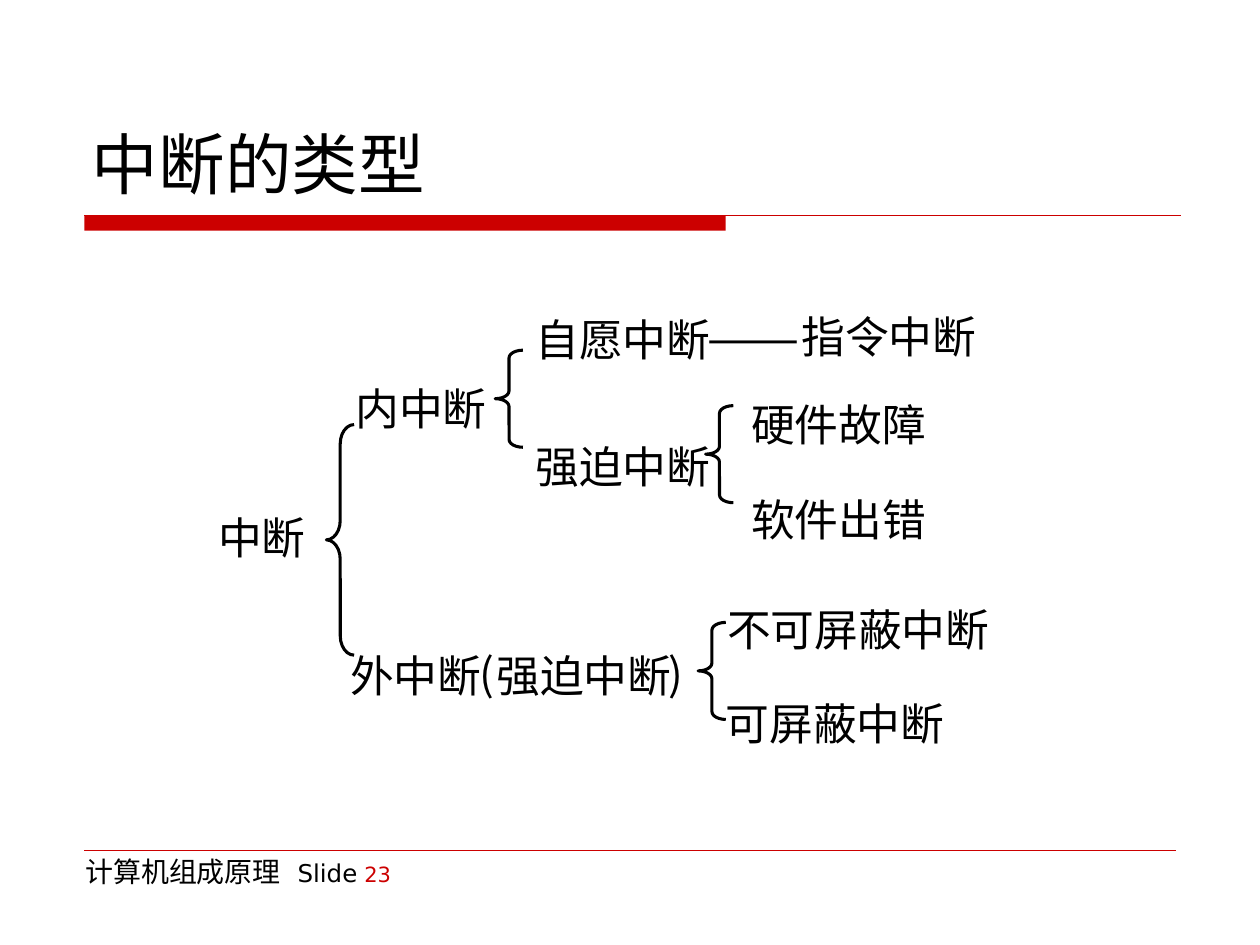
from lxml.etree import SubElement
from pptx import Presentation
from pptx.dml.color import RGBColor
from pptx.enum.shapes import MSO_CONNECTOR, MSO_SHAPE
from pptx.enum.text import MSO_ANCHOR, MSO_AUTO_SIZE, PP_ALIGN
from pptx.oxml.ns import qn
from pptx.util import Inches, Pt

COLORS = {"text": RGBColor.from_string("000000"), "accent": RGBColor.from_string("CC0000")}
LATIN, CJK, DASH = "DejaVu Sans", "Noto Sans CJK JP", "Arial"
LABEL_SIZE = 25

presentation = Presentation()
presentation.slide_width, presentation.slide_height = Inches(10), Inches(7.5)
COLUMN = presentation.slide_width / 100
ROW = presentation.slide_height / 75
slide = presentation.slides.add_slide(presentation.slide_layouts[5])
shapes = slide.shapes


def grid(left, top, width, height):
    """Turn columns and rows into the four lengths of a box."""
    return [round(n * unit) for n, unit in zip((left, top, width, height), (COLUMN, ROW) * 2)]


def set_font(font, name, size, color="text"):
    """Set size, colour and the font for both Latin and Chinese characters."""
    font.name, font.size = name, Pt(size)
    font.color.rgb = COLORS[color]
    SubElement(font._element, qn("a:ea")).set("typeface", name)


# Rules under the title and above the footer
bar = shapes.add_shape(MSO_SHAPE.RECTANGLE, *grid(6.7, 17.1, 50.9, 1.2))
bar.shadow.inherit = False
bar.fill.solid()
bar.fill.fore_color.rgb = COLORS["accent"]
bar.line.fill.background()

for right, row, weight in [(93.7, 17.1, 0.75), (93.3, 67.5, 0.25)]:
    rule = shapes.add_connector(MSO_CONNECTOR.STRAIGHT, *grid(6.7, row, right, row))
    rule.line.color.rgb = COLORS["accent"]
    rule.line.width = Pt(weight)
    SubElement(rule._element.spPr, qn("a:effectLst"))

# Title
title = shapes.title
title.left, title.top, title.width, title.height = grid(6.3, 3.3, 87.5, 13.3)
title.text_frame.text = "中断的类型"
title.text_frame.auto_size = MSO_AUTO_SIZE.NONE
title.text_frame.vertical_anchor = MSO_ANCHOR.BOTTOM
paragraph = title.text_frame.paragraphs[0]
paragraph.alignment = PP_ALIGN.LEFT
set_font(paragraph.font, LATIN, 38)

# Footer
footer = shapes.add_textbox(*grid(5.8, 67.3, 30, 5.2))
footer.text_frame.word_wrap = True
paragraph = footer.text_frame.paragraphs[0]
for text, size, color in [("计算机组成原理 ", 16, "text"), (" Slide", 14, "text"),
                          (" ", 12, "text"), ("23", 12, "accent")]:
    run = paragraph.add_run()
    run.text = text
    set_font(run.font, LATIN, size, color)

# Tree labels: text, left column, top row
labels = [
    ("中断", 17.3, 40.5),
    ("内中断", 28.2, 30.3),
    ("外中断", 27.8, 51.5),
    ("(", 38.1, 51.3),
    ("强迫中断", 39.4, 51.5),
    (")", 53.1, 51.3),
    ("自愿中断", 42.5, 24.8),
    ("——", 56.3, 24.6),
    ("指令中断", 63.6, 24.6),
    ("强迫中断", 42.5, 34.9),
    ("硬件故障", 59.6, 31.6),
    ("软件出错", 59.6, 39.1),
    ("不可屏蔽中断", 57.7, 47.8),
    ("可屏蔽中断", 57.6, 55.3),
]
for text, left, top in labels:
    width = 1 if text in "()" else len(text) * Pt(LABEL_SIZE) / COLUMN
    label = shapes.add_textbox(*grid(left, top, width, 4.2))
    frame = label.text_frame
    frame.margin_left = frame.margin_right = frame.margin_top = frame.margin_bottom = 0
    frame.word_wrap = False
    frame.text = text
    paragraph = frame.paragraphs[0]
    paragraph.alignment = PP_ALIGN.CENTER
    set_font(paragraph.font, DASH if text == "——" else CJK, LABEL_SIZE)

# Braces: left column, top row, height in rows, curve as a share of the width
for left, top, height, curve in [(25.9, 33.7, 18.3, 0.7), (39.3, 27.8, 7.7, 0.28),
                                 (56, 32.2, 7.7, 0.28), (55.4, 49.4, 7.7, 0.28)]:
    brace = shapes.add_shape(MSO_SHAPE.LEFT_BRACE, *grid(left, top, 2.2, height))
    brace.shadow.inherit = False
    brace.adjustments[0] = curve
    brace.fill.background()
    brace.line.color.rgb = COLORS["text"]
    brace.line.width = Pt(1.75)

presentation.save("out.pptx")
